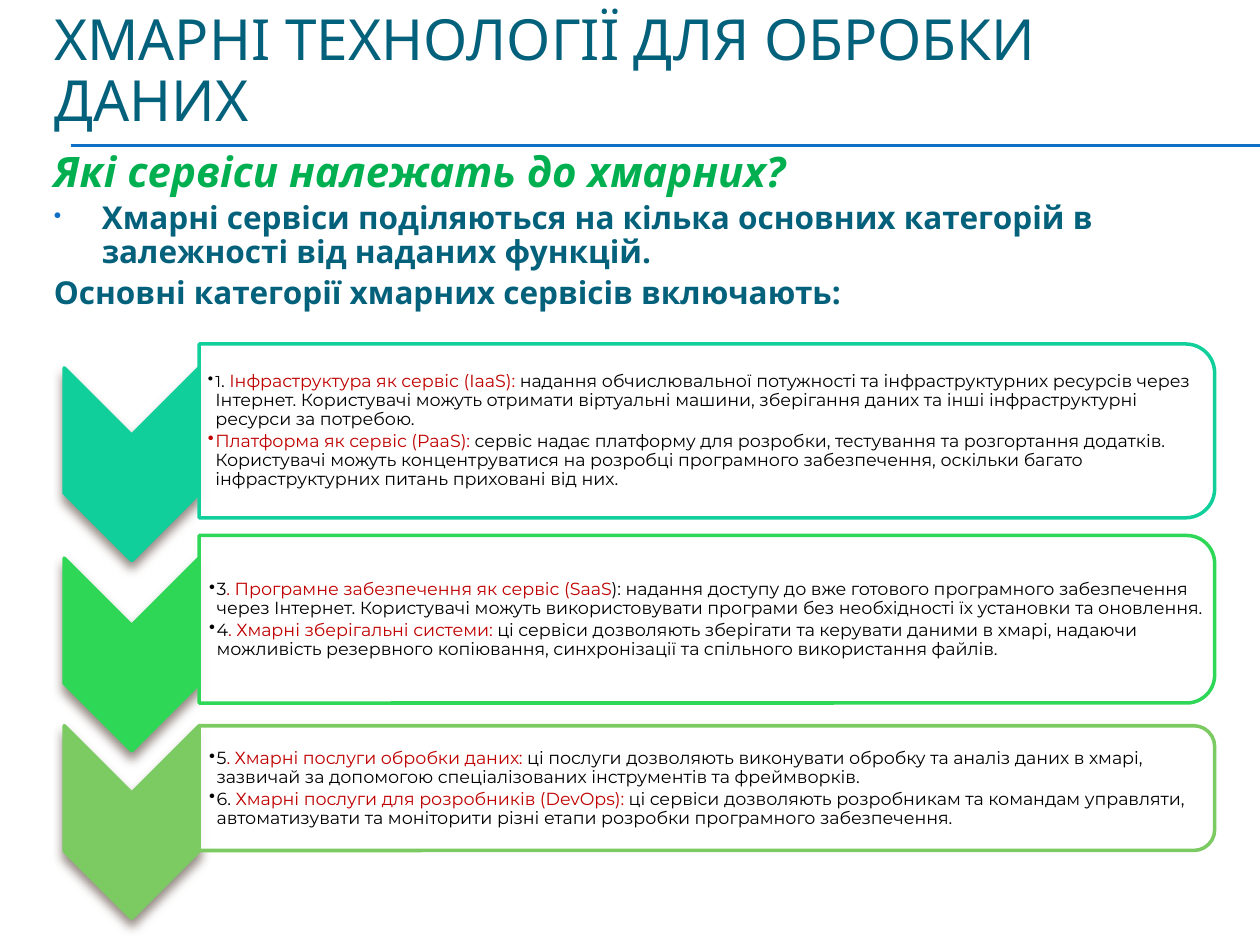
"""Build a slide on the categories of cloud services."""
from dataclasses import dataclass

import pptx
import pptx.dml.color
import pptx.enum.shapes
import pptx.enum.text
import pptx.oxml
import pptx.oxml.ns
import pptx.util
from pptx.util import Inches

SHAPE = pptx.enum.shapes.MSO_SHAPE
ANCHOR = pptx.enum.text.MSO_ANCHOR
NAMESPACE = pptx.oxml.ns.nsdecls("a")
TEAL, BLUE, GREEN = "04617B", "0F6FC6", "00B050"
BLACK, RED, WHITE = "000000", "C00000", "FFFFFF"
CARD_LEFT, CARD_WIDTH = 1.58, 8.06
CHEVRON_LEFT, CHEVRON_WIDTH, CHEVRON_HEIGHT = 0.51, 1.07, 1.53


@dataclass
class Span:
    text: str
    color: str = BLACK
    size: float = 10
    font: str = "Montserrat"
    bold: bool = False
    italic: bool = False


@dataclass
class Category:
    color: str
    chevron_top: float
    card_top: float
    card_height: float
    text_top: float
    text_height: float
    inset: float
    items: list[list[Span]]


CATEGORIES = [
    Category("10CF9B", 2.92, 2.73, 1.38, 2.8, 1.24, 0.07, [
        [Span("1", size=9), Span(". "), Span("Інфраструктура як сервіс (IaaS): ", RED),
         Span("надання обчислювальної потужності та інфраструктурних ресурсів через Інтернет. "
              "Користувачі можуть отримати віртуальні машини, зберігання даних та інші "
              "інфраструктурні ресурси за потребою.")],
        [Span("Платформа як сервіс (PaaS): ", RED),
         Span("сервіс надає платформу для розробки, тестування та розгортання додатків. "
              "Користувачі можуть концентруватися на розробці програмного забезпечення, "
              "оскільки багато інфраструктурних питань приховані від них.")],
    ]),
    Category("2FD757", 4.43, 4.25, 1.33, 4.32, 1.2, 0.08, [
        [Span("3"), Span(". Програмне забезпечення як сервіс (SaaS", RED),
         Span("): надання доступу до вже готового програмного забезпечення через Інтернет. "
              "Користувачі можуть використовувати програми без необхідності їх установки "
              "та оновлення.")],
        [Span("4"), Span(". Хмарні зберігальні системи: ", RED),
         Span("ці сервіси дозволяють зберігати та керувати даними в хмарі, надаючи можливість "
              "резервного копіювання, синхронізації та спільного використання файлів.")],
    ]),
    Category("7CCA62", 5.76, 5.76, 0.99, 5.81, 0.9, 0.08, [
        [Span("5"), Span(". Хмарні послуги обробки даних: ", RED),
         Span("ці послуги дозволяють виконувати обробку та аналіз даних в хмарі, зазвичай "
              "за допомогою спеціалізованих інструментів та фреймворків.")],
        [Span("6. "), Span("Хмарні послуги для розробників (DevOps): ", RED),
         Span("ці сервіси дозволяють розробникам та командам управляти, автоматизувати та "
              "моніторити різні етапи розробки програмного забезпечення.")],
    ]),
]


def rgb(color: str) -> pptx.dml.color.RGBColor:
    return pptx.dml.color.RGBColor.from_string(color)


def apply(target, values: dict) -> None:
    for name, value in values.items():
        setattr(target, name, value)


def add_xml(parent, markup: str) -> None:
    tag, rest = markup.split(" ", 1)
    parent.append(pptx.oxml.parse_xml(f"{tag} {NAMESPACE} {rest}"))


def write(para, spans: list[Span], **spacing) -> None:
    apply(para, {"line_spacing": 0.9, **spacing})
    for span in spans:
        run = para.add_run()
        run.text = span.text
        apply(run.font, {"name": span.font, "size": pptx.util.Pt(span.size),
                         "bold": span.bold, "italic": span.italic})
        run.font.color.rgb = rgb(span.color)


def indent(para, hanging: float, bullet: bool, color: str = "", percent: int = 100) -> None:
    properties = para._p.get_or_add_pPr()
    properties.set("marL", str(Inches(hanging)))
    properties.set("indent", str(-Inches(hanging)))
    if color:
        add_xml(properties, f'<a:buClr ><a:srgbClr val="{color}"/></a:buClr>')
    if bullet:
        add_xml(properties, f'<a:buSzPct val="{percent * 1000}"/>')
        add_xml(properties, '<a:buChar char="•"/>')


def set_frame(frame, anchor, left: float, top: float, right: float, bottom: float) -> None:
    apply(frame, {"word_wrap": True, "auto_size": pptx.enum.text.MSO_AUTO_SIZE.NONE,
                  "vertical_anchor": anchor,
                  "margin_left": Inches(left), "margin_top": Inches(top),
                  "margin_right": Inches(right), "margin_bottom": Inches(bottom)})


def add_turned(shapes, kind, left: float, top: float, width: float, height: float,
               fill: str, line: str):
    """Add a shape turned a quarter that covers the given upright area."""
    shift = (width - height) / 2
    shape = shapes.add_shape(kind, Inches(left + shift), Inches(top - shift),
                             Inches(height), Inches(width))
    shape.rotation = 90
    shape.fill.solid()
    shape.fill.fore_color.rgb = rgb(fill)
    shape.line.color.rgb = rgb(line)
    shape.line.width = pptx.util.Pt(2)
    shape.shadow.inherit = False
    return shape


def add_category(shapes, category: Category) -> None:
    chevron = add_turned(shapes, SHAPE.CHEVRON, CHEVRON_LEFT, category.chevron_top,
                         CHEVRON_WIDTH, CHEVRON_HEIGHT, category.color, category.color)
    effects = chevron._element.spPr.find(pptx.oxml.ns.qn("a:effectLst"))
    add_xml(effects, f'<a:outerShdw blurRad="{pptx.util.Pt(6)}" dist="{pptx.util.Pt(4)}" '
                     'dir="5400000" rotWithShape="0"><a:srgbClr val="4E3B30">'
                     '<a:alpha val="60000"/></a:srgbClr></a:outerShdw>')
    card = add_turned(shapes, SHAPE.ROUND_2_SAME_RECTANGLE, CARD_LEFT, category.card_top,
                      CARD_WIDTH, category.card_height, WHITE, category.color)
    fill = card._element.spPr.find(pptx.oxml.ns.qn("a:solidFill"))
    add_xml(fill[0], '<a:alpha val="90000"/>')
    box = shapes.add_textbox(Inches(CARD_LEFT), Inches(category.text_top),
                             Inches(8), Inches(category.text_height))
    frame = box.text_frame
    set_frame(frame, ANCHOR.MIDDLE, category.inset, 0.01, 0.01, 0.01)
    for number, spans in enumerate(category.items):
        para = frame.add_paragraph() if number else frame.paragraphs[0]
        write(para, spans, space_after=pptx.util.Pt(1.5), level=1)
        indent(para, 0.06, bullet=True)


def add_rule(shapes, top: float) -> None:
    rule = shapes.add_connector(pptx.enum.shapes.MSO_CONNECTOR.STRAIGHT,
                                Inches(0.56), Inches(top), Inches(10), Inches(top))
    rule.line.color.rgb = rgb(BLUE)
    rule.line.width = pptx.util.Pt(0.75)
    add_xml(rule._element.spPr, "<a:effectLst />")


def add_title(slide) -> None:
    title = slide.shapes.title
    apply(title, {"left": Inches(0.33), "top": Inches(0.5),
                  "width": Inches(9.5), "height": Inches(0.57)})
    set_frame(title.text_frame, ANCHOR.BOTTOM, 0.1, 0.05, 0.1, 0.01)
    write(title.text_frame.paragraphs[0],
          [Span("ХМАРНІ ТЕХНОЛОГІЇ ДЛЯ ОБРОБКИ ДАНИХ", TEAL, 32.4, "Noto Sans")],
          alignment=pptx.enum.text.PP_ALIGN.LEFT)


def add_intro(shapes) -> None:
    box = shapes.add_textbox(Inches(0.33), Inches(1.15), Inches(9.5), Inches(5.5))
    frame = box.text_frame
    set_frame(frame, ANCHOR.TOP, 0.1, 0.05, 0.1, 0.05)
    question = Span("Які сервіси належать до хмарних?", GREEN, 24, "Noto Sans", True, True)
    answer = Span("Хмарні сервіси поділяються на кілька основних категорій в залежності "
                  "від наданих функцій.", TEAL, 18, "Noto Sans", True)
    lead = Span("Основні категорії хмарних сервісів включають:", TEAL, 18, "Noto Sans", True)
    for number, span in enumerate([question, answer, lead]):
        para = frame.add_paragraph() if number else frame.paragraphs[0]
        write(para, [span], space_before=pptx.util.Pt(span.size * 0.2))
        indent(para, 0.38, span is answer, BLUE, 70)


def main() -> None:
    deck = pptx.Presentation()
    deck.slide_width, deck.slide_height = Inches(10), Inches(7.5)
    slide = deck.slides.add_slide(deck.slide_layouts[5])
    for top in (1.15, 1.15, 1.16):
        add_rule(slide.shapes, top)
    add_title(slide)
    add_intro(slide.shapes)
    group = slide.shapes.add_group_shape()
    for category in CATEGORIES:
        add_category(group.shapes, category)
    deck.save("out.pptx")


if __name__ == "__main__":
    main()
